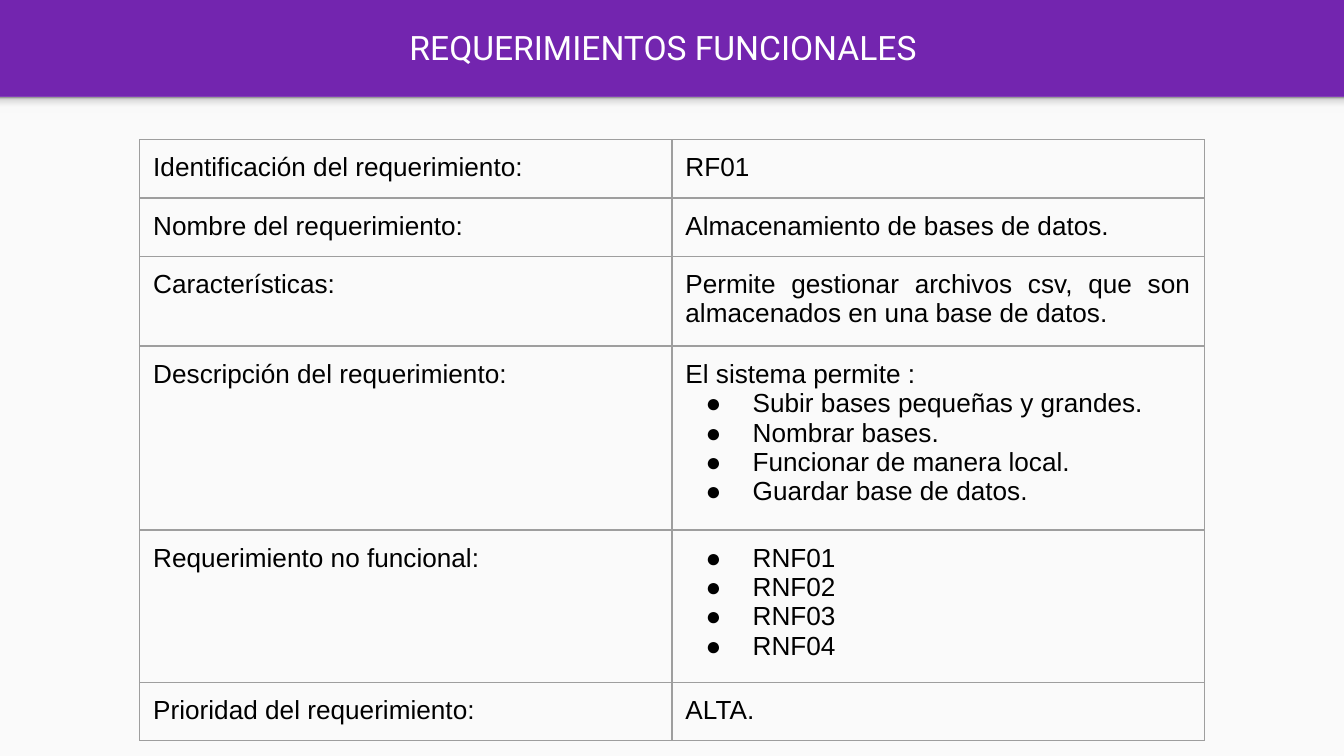
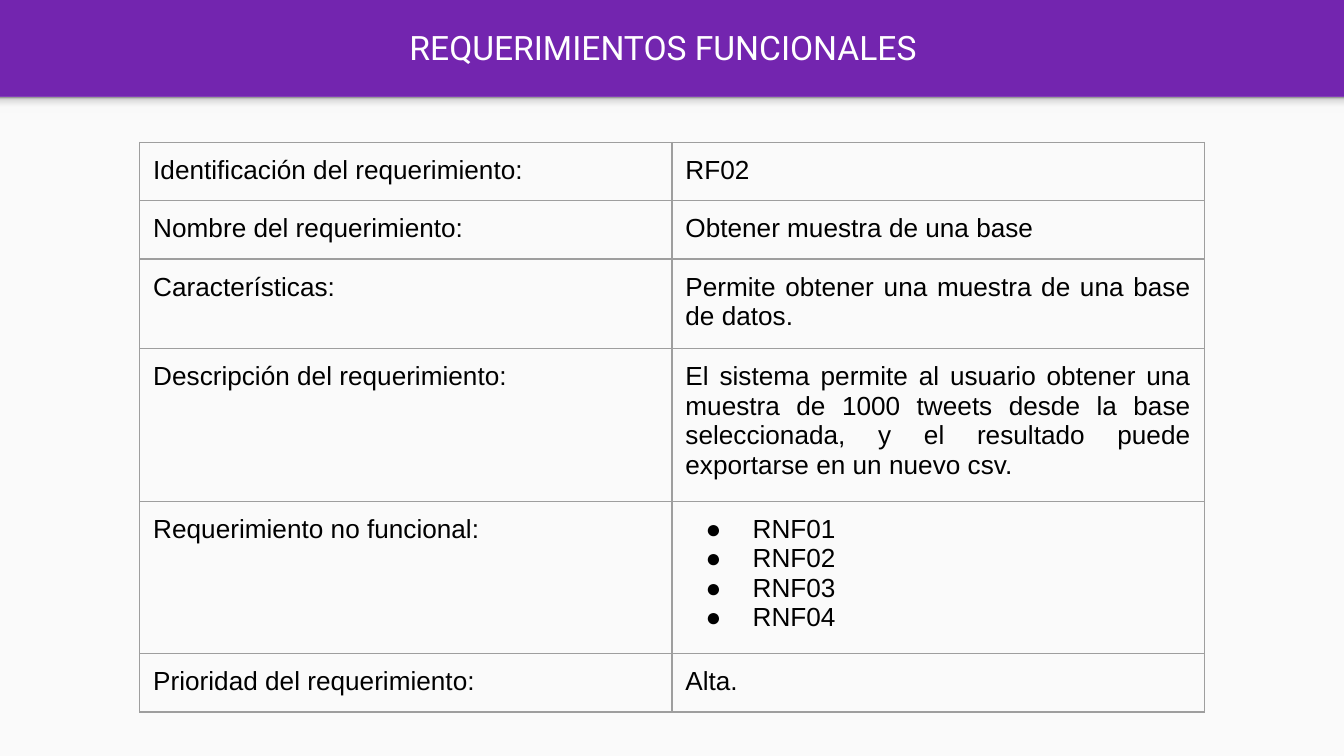
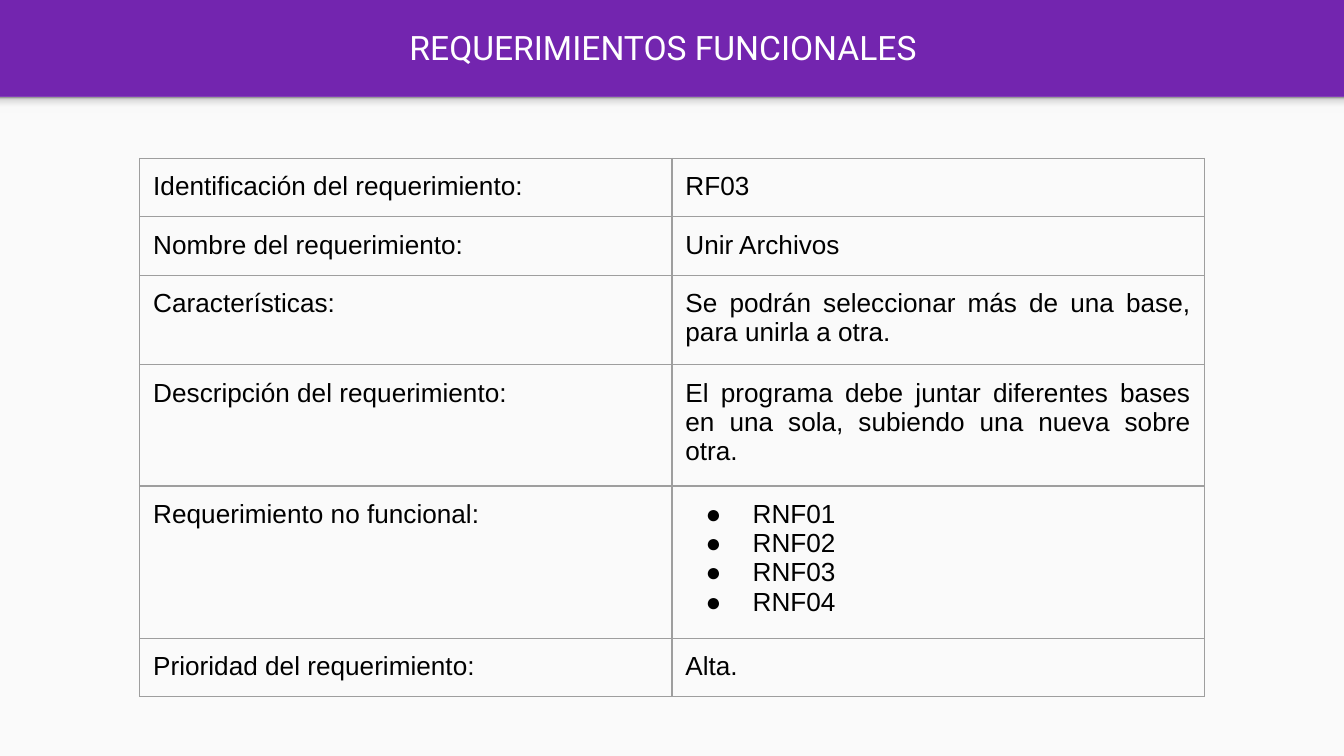
"""Builds three slides that each describe one functional requirement in a table."""
from lxml.etree import SubElement
from pptx import Presentation
from pptx.dml.color import RGBColor
from pptx.enum.shapes import MSO_SHAPE as Shape
from pptx.enum.text import MSO_ANCHOR as Anchor, PP_ALIGN as Align
from pptx.oxml import parse_xml
from pptx.oxml.ns import nsdecls, qn
from pptx.util import Inches, Pt

PURPLE, PAPER, WHITE, BLACK, GREY = "7325AF", "FAFAFA", "FFFFFF", "000000", "9E9E9E"
SHADOW_STOPS = [(0, "F9F9F9"), (36, "F9F9F9"), (80, "DEDEDE"), (100, "999999")]
TITLE = "REQUERIMIENTOS FUNCIONALES"
WIDTH, BAND_HEIGHT = 10, 0.72
HEIGHT = WIDTH * 9 / 16
COLUMN_WIDTH, ROW_HEIGHT, MARGIN = 3.96, 0.42, 0.1
BULLET = "● "
LABELS = [
    "Identificación del requerimiento:",
    "Nombre del requerimiento:",
    "Características:",
    "Descripción del requerimiento:",
    "Requerimiento no funcional:",
    "Prioridad del requerimiento:",
]
NON_FUNCTIONAL = [f"{BULLET}RNF0{number}" for number in range(1, 5)]
REQUIREMENTS = [
    (1.04, "RF01", "Almacenamiento de bases de datos.",
     "Permite gestionar archivos csv, que son almacenados en una base de datos.",
     ["El sistema permite :", "● Subir bases pequeñas y grandes.", "● Nombrar bases.",
      "● Funcionar de manera local.", "● Guardar base de datos."],
     "ALTA."),
    (1.06, "RF02", "Obtener muestra de una base",
     "Permite obtener una muestra de una base de datos.",
     ["El sistema permite al usuario obtener una muestra de 1000 tweets desde la base "
      "seleccionada, y el resultado puede exportarse en un nuevo csv."],
     "Alta."),
    (1.18, "RF03", "Unir Archivos",
     "Se podrán seleccionar más de una base, para unirla a otra.",
     ["El programa debe juntar diferentes bases en una sola, subiendo una nueva sobre otra."],
     "Alta."),
]


def color(value):
    return RGBColor.from_string(value)


def fill_cell(cell, lines):
    cell.margin_left = cell.margin_right = Inches(MARGIN)
    cell.margin_top = cell.margin_bottom = Inches(MARGIN)
    cell.fill.background()
    properties = cell._tc.get_or_add_tcPr()
    for position, side in enumerate(["lnL", "lnR", "lnT", "lnB"]):
        properties.insert(position, parse_xml(
            f'<a:{side} {nsdecls("a")} w="{Pt(0.75)}"><a:solidFill>'
            f'<a:srgbClr val="{GREY}"/></a:solidFill></a:{side}>'))
    frame = cell.text_frame
    for index, line in enumerate(lines):
        para = frame.add_paragraph() if index else frame.paragraphs[0]
        para.alignment = Align.JUSTIFY
        span = para.add_run()
        span.text = line.removeprefix(BULLET)
        span.font.name, span.font.size = "Arial", Pt(14)
        span.font.color.rgb = color(BLACK)
        if line.startswith(BULLET):
            settings = para._p.get_or_add_pPr()
            settings.set("marL", str(Inches(0.5)))
            settings.set("indent", str(Inches(-0.35)))
            tint = SubElement(settings, qn("a:buClr"))
            SubElement(tint, qn("a:srgbClr"), val=BLACK)
            SubElement(settings, qn("a:buSzPts"), val="1400")
            SubElement(settings, qn("a:buFont"), typeface="Arial")
            SubElement(settings, qn("a:buChar"), char=BULLET.strip())


deck = Presentation()
deck.slide_width, deck.slide_height = Inches(WIDTH), Inches(HEIGHT)

for top, code, name, features, description, priority in REQUIREMENTS:
    page = deck.slides.add_slide(deck.slide_layouts[6])
    page.background.fill.solid()
    page.background.fill.fore_color.rgb = color(PURPLE)

    panel, shadow = [
        page.shapes.add_shape(Shape.RECTANGLE, 0, Inches(BAND_HEIGHT), Inches(WIDTH), Inches(height))
        for height in (HEIGHT - BAND_HEIGHT, 0.12)
    ]
    for box in (panel, shadow):
        box.shadow.inherit = False
        box.line.fill.background()
    panel.fill.solid()
    panel.fill.fore_color.rgb = color(PAPER)
    shadow.fill.gradient()
    shadow.fill.gradient_angle = 90
    stops = shadow._element.spPr.find(f".//{qn('a:gsLst')}")
    for stop in list(stops):
        stops.remove(stop)
    for percent, shade in SHADOW_STOPS:
        stop = SubElement(stops, qn("a:gs"), pos=str(percent * 1000))
        SubElement(stop, qn("a:srgbClr"), val=shade)

    title = page.shapes.add_textbox(Inches(0.11), Inches(0.02), Inches(9.65), Inches(0.66))
    frame = title.text_frame
    frame.word_wrap = True
    frame.vertical_anchor = Anchor.MIDDLE
    frame.margin_left = frame.margin_right = Inches(MARGIN)
    frame.margin_top = frame.margin_bottom = Inches(MARGIN)
    para = frame.paragraphs[0]
    para.text = TITLE
    para.alignment = Align.CENTER
    para.font.name, para.font.size = "Roboto", Pt(18)
    para.font.color.rgb = color(WHITE)

    table = page.shapes.add_table(
        len(LABELS), 2, Inches(1.04), Inches(top),
        Inches(2 * COLUMN_WIDTH), Inches(len(LABELS) * ROW_HEIGHT)).table
    table.first_row = table.horz_banding = False
    values = [[code], [name], [features], description, NON_FUNCTIONAL, [priority]]
    for row, (label, lines) in enumerate(zip(LABELS, values)):
        fill_cell(table.cell(row, 0), [label])
        fill_cell(table.cell(row, 1), lines)

deck.save("out.pptx")
